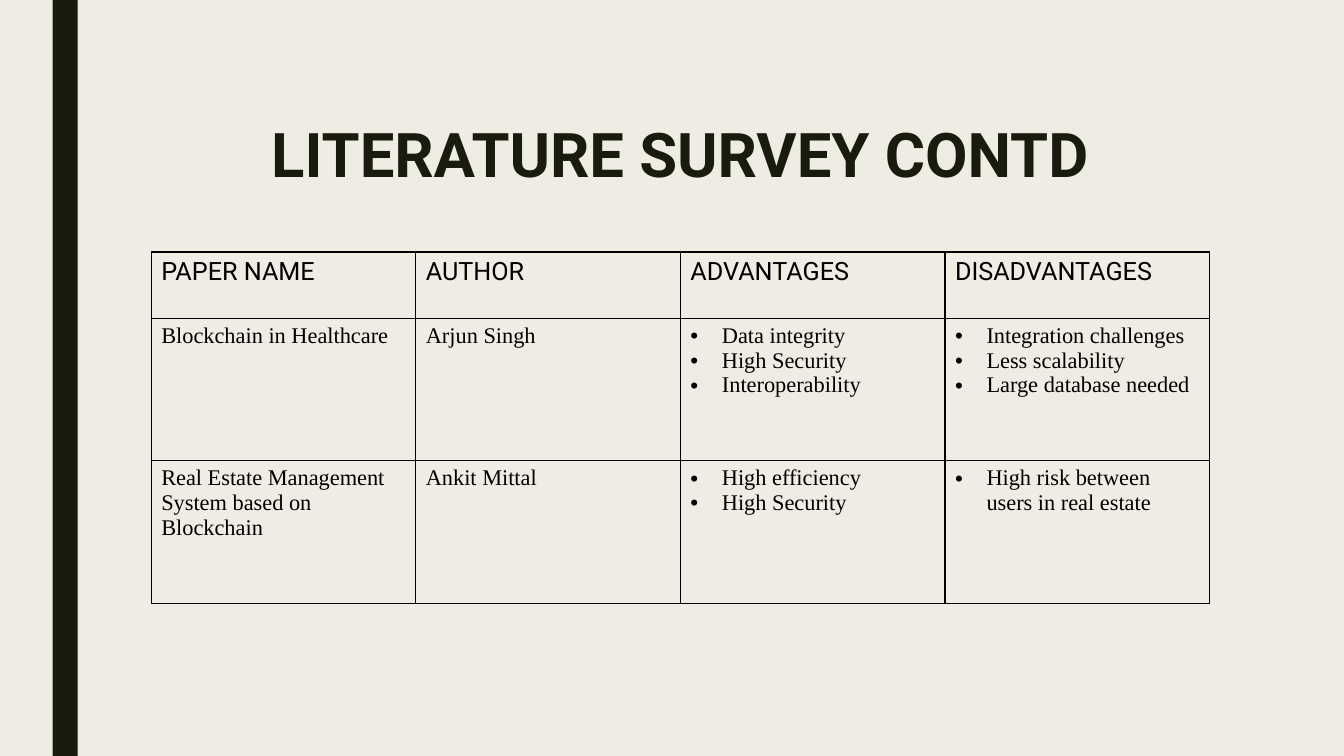
from lxml.etree import SubElement
from pptx import Presentation
from pptx.dml.color import RGBColor
from pptx.enum.shapes import MSO_SHAPE
from pptx.enum.text import MSO_ANCHOR, PP_ALIGN
from pptx.oxml import parse_xml
from pptx.oxml.ns import nsdecls, qn
from pptx.util import Pt

PX = 9525  # EMU per px, 96 px to the inch
INK = {"back": "EFEDE3", "dark": "191B0E", "black": "000000"}
SANS, SERIF = "Roboto", "Times New Roman"


class Deck:
    def __init__(self, wide, high):
        self.prs = Presentation()
        self.prs.slide_width, self.prs.slide_height = wide * PX, high * PX
        self.slide = self.prs.slides.add_slide(self.prs.slide_layouts[6])
        self.paint(self.slide.background.fill, "back")

    def paint(self, fill, ink):
        fill.solid()
        fill.fore_color.rgb = RGBColor.from_string(INK[ink])

    def style(self, para, face, size, ink, bold=False):
        for run in para.runs:
            font = run.font
            font.name, font.size, font.bold = face, Pt(size), bold
            font.color.rgb = RGBColor.from_string(INK[ink])

    def band(self, box, ink):
        bar = self.slide.shapes.add_shape(
            MSO_SHAPE.RECTANGLE, *(n * PX for n in box))
        bar.shadow.inherit = False
        self.paint(bar.fill, ink)
        bar.line.fill.background()

    def title(self, box, text):
        frame = self.slide.shapes.add_textbox(*(n * PX for n in box)).text_frame
        frame.word_wrap = True
        frame.vertical_anchor = MSO_ANCHOR.MIDDLE
        frame.text = text
        para = frame.paragraphs[0]
        para.alignment = PP_ALIGN.CENTER
        para.line_spacing = 0.89
        self.style(para, SANS, 44, "dark", True)

    def bullet(self, para, indent):
        props = para._p.get_or_add_pPr()
        props.set("marL", str(indent * PX))
        props.set("indent", str(-indent * PX))
        SubElement(props, qn("a:buFont")).set("typeface", "Arial")
        SubElement(props, qn("a:buChar")).set("char", "•")

    def border(self, cell):
        cell.fill.background()
        props = cell._tc.get_or_add_tcPr()
        for spot, side in enumerate("LRTB"):
            props.insert(spot, parse_xml(
                f'<a:ln{side} {nsdecls("a")} w="{Pt(1)}"><a:solidFill>'
                f'<a:srgbClr val="{INK["black"]}"/></a:solidFill></a:ln{side}>'))

    def table(self, left, top, wide, highs, rows):
        count = len(rows[0])
        grid = self.slide.shapes.add_table(
            len(rows), count, left * PX, top * PX,
            wide * count * PX, sum(highs) * PX).table
        grid.first_row = grid.horz_banding = False
        for col in grid.columns:
            col.width = wide * PX
        for r, (high, row) in enumerate(zip(highs, rows)):
            grid.rows[r].height = high * PX
            face, size = (SERIF, 16) if r else (SANS, 18)
            for c, entry in enumerate(row):
                cell = grid.cell(r, c)
                self.border(cell)
                listed = isinstance(entry, list)
                cell.text_frame.text = "\n".join(entry) if listed else entry
                for para in cell.text_frame.paragraphs:
                    if listed:
                        self.bullet(para, 30)
                    self.style(para, face, size, "black")


def main():
    deck = Deck(1280, 720)

    # Side band and heading
    deck.band((50, 0, 24, 720), "dark")
    deck.title((144, 72, 1008, 156), "LITERATURE SURVEY CONTD")

    # Survey table: lists become bullets
    deck.table(144, 240, 252, (63, 136, 136), [
        ["PAPER NAME", "AUTHOR", "ADVANTAGES", "DISADVANTAGES"],
        ["Blockchain in Healthcare", "Arjun Singh",
         ["Data integrity", "High Security", "Interoperability"],
         ["Integration challenges", "Less scalability",
          "Large database needed"]],
        ["Real Estate Management System based on Blockchain", "Ankit Mittal",
         ["High efficiency", "High Security"],
         ["High risk between users in real estate"]],
    ])

    deck.prs.save("out.pptx")


if __name__ == "__main__":
    main()
